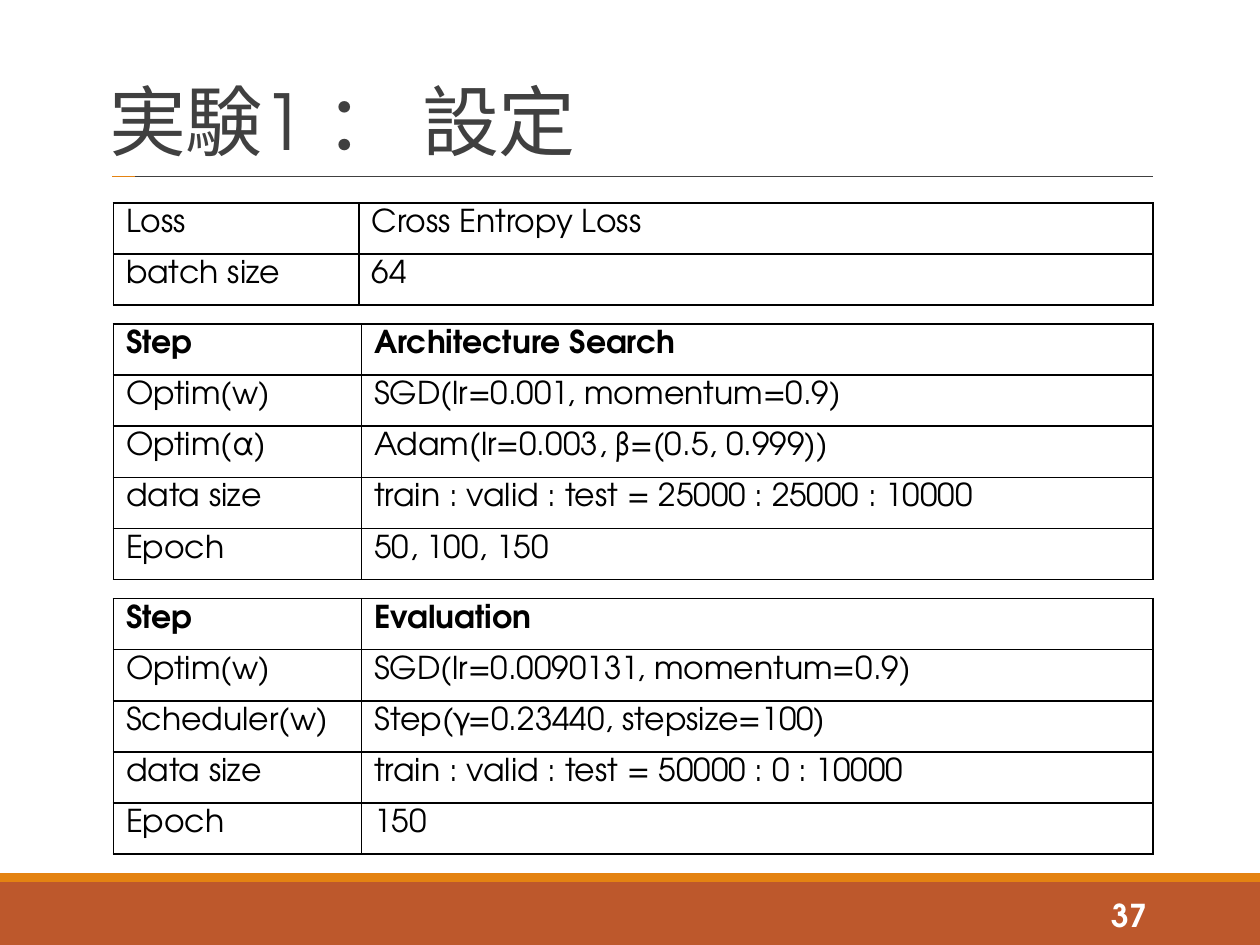
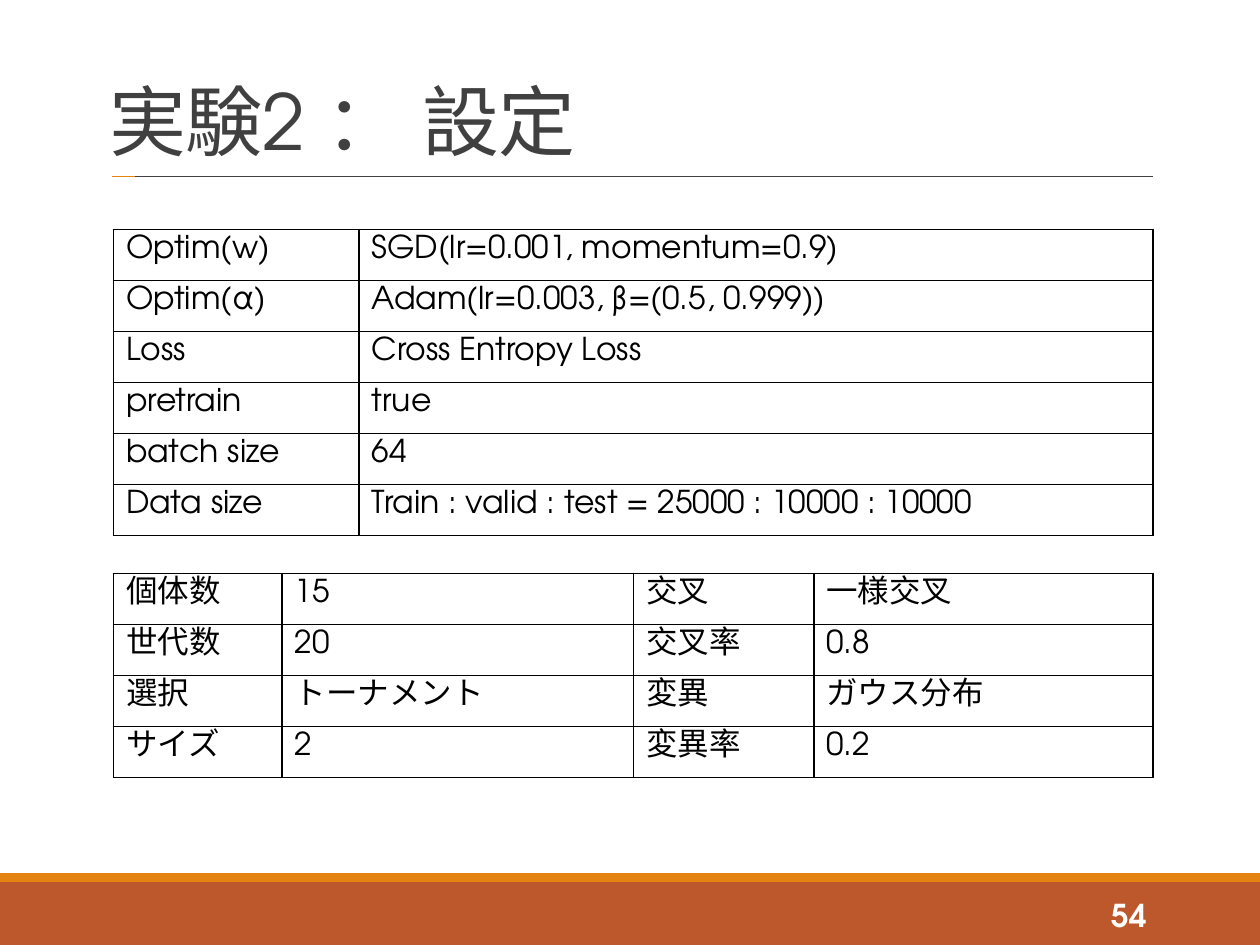
import lxml.etree
import pptx
import pptx.dml.color
import pptx.enum.shapes
import pptx.enum.text
import pptx.oxml.ns
import pptx.util

Inches = pptx.util.Inches
Pt = pptx.util.Pt
qn = pptx.oxml.ns.qn
PP_ALIGN = pptx.enum.text.PP_ALIGN
MSO_ANCHOR = pptx.enum.text.MSO_ANCHOR

FONT = "TeX Gyre Adventor"
COLORS = {
    "band": "BD582C",
    "accent": "E48312",
    "title": "404040",
    "text": "000000",
    "page_number": "FFFFFF",
}
TABLE_LEFT = 0.9

LOSS_ROWS = [("Loss", "Cross Entropy Loss"), ("batch size", "64")]
SEARCH_ROWS = [
    ("Step", "Architecture Search"),
    ("Optim(w)", "SGD(lr=0.001, momentum=0.9)"),
    ("Optim(α)", "Adam(lr=0.003, β=(0.5, 0.999))"),
    ("data size", "train : valid : test = 25000 : 25000 : 10000"),
    ("Epoch", "50, 100, 150"),
]
EVALUATION_ROWS = [
    ("Step", "Evaluation"),
    ("Optim(w)", "SGD(lr=0.0090131, momentum=0.9)"),
    ("Scheduler(w)", "Step(γ=0.23440, stepsize=100)"),
    ("data size", "train : valid : test = 50000 : 0 : 10000"),
    ("Epoch", "150"),
]
TRAINING_ROWS = [
    ("Optim(w)", "SGD(lr=0.001, momentum=0.9)"),
    ("Optim(α)", "Adam(lr=0.003, β=(0.5, 0.999))"),
    ("Loss", "Cross Entropy Loss"),
    ("pretrain", "true"),
    ("batch size", "64"),
    ("Data size", "Train : valid : test = 25000 : 10000 : 10000"),
]
GENETIC_ROWS = [
    ("個体数", "15", "交叉", "一様交叉"),
    ("世代数", "20", "交叉率", "0.8"),
    ("選択", "トーナメント", "変異", "ガウス分布"),
    ("サイズ", "2", "変異率", "0.2"),
]


def rgb(name):
    return pptx.dml.color.RGBColor.from_string(COLORS[name])


def write_text(text_frame, text, size=18, color="text", bold=False,
               align=PP_ALIGN.LEFT, line_spacing=None, tracking=None):
    """Write one formatted paragraph; tracking is letter spacing in points."""
    paragraph = text_frame.paragraphs[0]
    paragraph.alignment = align
    if line_spacing:
        paragraph.line_spacing = line_spacing
    run = paragraph.add_run()
    run.text = text
    run.font.name = FONT
    run.font.size = Pt(size)
    run.font.bold = bold
    run.font.color.rgb = rgb(color)
    properties = run.font._element
    lxml.etree.SubElement(properties, qn("a:ea"), typeface=FONT)
    if tracking:
        properties.set("spc", str(round(tracking * 100)))


def add_text_box(slide, text, left, top, width, height, anchor, **text_format):
    box = slide.shapes.add_textbox(
        Inches(left), Inches(top), Inches(width), Inches(height))
    box.text_frame.word_wrap = True
    box.text_frame.vertical_anchor = anchor
    write_text(box.text_frame, text, **text_format)


def add_band(slide, top, height, color):
    band = slide.shapes.add_shape(
        pptx.enum.shapes.MSO_SHAPE.RECTANGLE,
        0, Inches(top), Inches(10), Inches(height))
    band.shadow.inherit = False
    band.fill.solid()
    band.fill.fore_color.rgb = rgb(color)
    band.line.fill.background()


def add_rule(slide, left, right, color):
    """Draw a segment of the horizontal line below the title."""
    rule = slide.shapes.add_connector(
        pptx.enum.shapes.MSO_CONNECTOR.STRAIGHT,
        Inches(left), Inches(1.4), Inches(right), Inches(1.4))
    rule.line.color.rgb = rgb(color)
    rule.line.width = Pt(1)
    lxml.etree.SubElement(rule._element.spPr, qn("a:effectLst"))


def set_cell_borders(cell):
    properties = cell._tc.get_or_add_tcPr()
    for side in ("a:lnL", "a:lnR", "a:lnT", "a:lnB"):
        border = lxml.etree.SubElement(properties, qn(side), w=str(Pt(1)))
        fill = lxml.etree.SubElement(border, qn("a:solidFill"))
        lxml.etree.SubElement(fill, qn("a:srgbClr"), val=COLORS["text"])


def add_settings_table(slide, rows, top, height, column_widths, header=False):
    """Add a bordered table with equal rows; header makes the first one bold."""
    frame = slide.shapes.add_table(
        len(rows), len(column_widths), Inches(TABLE_LEFT), Inches(top),
        Inches(sum(column_widths)), Inches(height))
    table = frame.table
    table.first_row = header
    table.horz_banding = False
    for column, width in zip(table.columns, column_widths):
        column.width = Inches(width)
    for row_index, values in enumerate(rows):
        table.rows[row_index].height = Inches(height / len(rows))
        for column_index, value in enumerate(values):
            cell = table.cell(row_index, column_index)
            set_cell_borders(cell)
            cell.fill.background()
            write_text(cell.text_frame, value, bold=header and row_index == 0)


def add_settings_slide(presentation, title, page_number):
    """Add a slide with the shared bands, title, rule and page number."""
    slide = presentation.slides.add_slide(presentation.slide_layouts[6])
    add_band(slide, 7, 0.5, "band")
    add_band(slide, 6.93, 0.07, "accent")
    add_rule(slide, 1.07, 9.15, "title")
    add_rule(slide, 0.89, 1.07, "accent")
    add_text_box(slide, title, 0.77, 0.25, 8.38, 1.12, MSO_ANCHOR.BOTTOM,
                 size=44, color="title", line_spacing=0.85, tracking=-0.5)
    add_text_box(slide, str(page_number), 8.12, 7.06, 1.08, 0.4,
                 MSO_ANCHOR.MIDDLE, color="page_number", bold=True,
                 align=PP_ALIGN.RIGHT)
    return slide


def main():
    presentation = pptx.Presentation()
    presentation.slide_width = Inches(10)
    presentation.slide_height = Inches(7.5)

    plain_columns = (1.95, 6.3)
    step_columns = (1.97, 6.28)

    slide = add_settings_slide(presentation, "実験1 ： 設定", 37)
    add_settings_table(slide, LOSS_ROWS, 1.61, 0.81, plain_columns)
    add_settings_table(slide, SEARCH_ROWS, 2.57, 2.03, step_columns, header=True)
    add_settings_table(slide, EVALUATION_ROWS, 4.75, 2.03, step_columns, header=True)

    slide = add_settings_slide(presentation, "実験2 ： 設定", 54)
    add_settings_table(slide, TRAINING_ROWS, 1.82, 2.43, plain_columns)
    add_settings_table(slide, GENETIC_ROWS, 4.55, 1.62, (1.34, 2.79, 1.43, 2.69))

    presentation.save("out.pptx")


if __name__ == "__main__":
    main()
